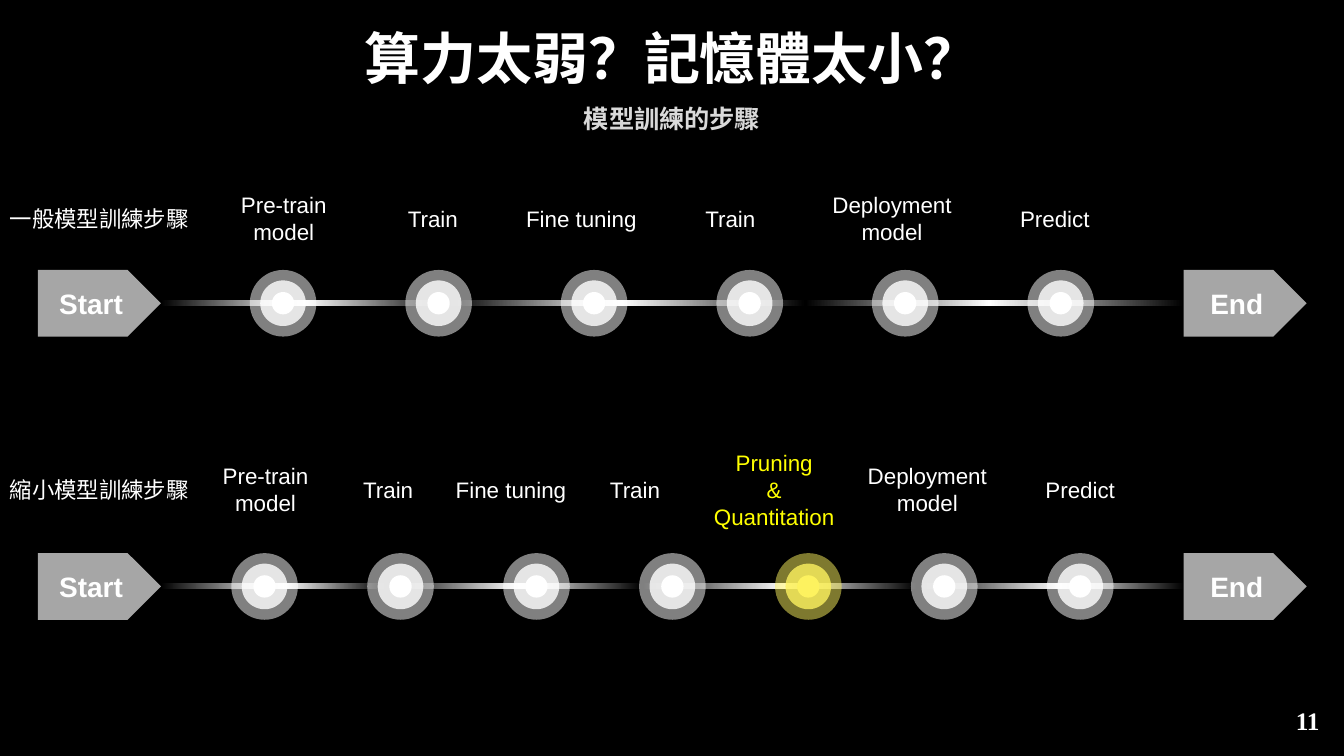
from lxml.etree import SubElement
from pptx import Presentation
from pptx.dml.color import RGBColor
from pptx.enum.shapes import MSO_SHAPE
from pptx.enum.text import MSO_ANCHOR, MSO_AUTO_SIZE, PP_ALIGN
from pptx.oxml.ns import qn
from pptx.util import Pt

BLACK = RGBColor(0x00, 0x00, 0x00)
WHITE = RGBColor(0xFF, 0xFF, 0xFF)
SILVER = RGBColor(0xDB, 0xDB, 0xDB)
LIGHT_GRAY = RGBColor(0xD9, 0xD9, 0xD9)
GRAY = RGBColor(0xA6, 0xA6, 0xA6)
YELLOW = RGBColor(0xFF, 0xFF, 0x00)
SOFT_YELLOW = RGBColor(0xFD, 0xF2, 0x5F)

# Ring diameter and opacity in percent, outermost first
RINGS = [(47.6, 50), (32.6, 80), (16, 100)]
LINE_HEIGHT = 4.4
FLAG_WIDTH = 88

# Steps: text, label centre, label width
GENERAL_STEPS = [
    ("Pre-train model", 202.7, 114.5), ("Train", 309.2, 114.5),
    ("Fine tuning", 415.2, 114.5), ("Train", 521.7, 114.5),
    ("Deployment model", 637.2, 134), ("Predict", 753.4, 114.5),
]
REDUCED_STEPS = [
    ("Pre-train model", 189.7, 83), ("Train", 277.3, 56),
    ("Fine tuning", 365, 99.4), ("Train", 453.6, 53.3),
    ("Pruning\n&\nQuantitation", 553, 105), ("Deployment model", 662.4, 134),
    ("Predict", 771.6, 137.5),
]
GENERAL_GLOW = [(0, BLACK), (19, WHITE), (37, BLACK), (55, WHITE),
                (72, BLACK), (86, WHITE), (100, BLACK)]
REDUCED_GLOW = [(0, BLACK), (12, WHITE), (14, SILVER), (26, BLACK), (39, WHITE),
                (53, BLACK), (65, WHITE), (78, BLACK), (88, WHITE), (100, BLACK)]


def write_text(shape, text, size, color=WHITE, bold=False, align=PP_ALIGN.CENTER,
               anchor=MSO_ANCHOR.MIDDLE, font="Arial", spacing=1.0):
    frame = shape.text_frame
    frame.word_wrap = True
    frame.auto_size = MSO_AUTO_SIZE.NONE
    frame.vertical_anchor = anchor
    frame.text = text
    for paragraph in frame.paragraphs:
        paragraph.alignment = align
        paragraph.line_spacing = spacing
        paragraph.font.name = font
        paragraph.font.size = Pt(size)
        paragraph.font.bold = bold
        paragraph.font.color.rgb = color


def add_text(slide, box, text, size, **style):
    textbox = slide.shapes.add_textbox(*map(Pt, box))
    write_text(textbox, text, size, **style)


def add_solid(shapes, kind, box, color, opacity=100):
    shape = shapes.add_shape(kind, *map(Pt, box))
    shape.shadow.inherit = False
    shape.line.fill.background()
    shape.fill.solid()
    shape.fill.fore_color.rgb = color
    if opacity < 100:
        color_element = shape._element.spPr.find(".//" + qn("a:srgbClr"))
        SubElement(color_element, qn("a:alpha"), val=str(opacity * 1000))
    return shape


def add_glow_line(slide, box, stops):
    line = add_solid(slide.shapes, MSO_SHAPE.RECTANGLE, box, WHITE)
    line.fill.gradient()
    line.fill.gradient_angle = 180
    stop_list = line._element.spPr.find(".//" + qn("a:gsLst"))
    for stop in list(stop_list):
        stop_list.remove(stop)
    for position, color in stops:
        stop = SubElement(stop_list, qn("a:gs"), pos=str(position * 1000))
        SubElement(stop, qn("a:srgbClr"), val=str(color))


def add_node(slide, center_x, center_y, color):
    group = slide.shapes.add_group_shape()
    for diameter, opacity in RINGS:
        box = (center_x - diameter / 2, center_y - diameter / 2, diameter, diameter)
        add_solid(group.shapes, MSO_SHAPE.OVAL, box, color, opacity)


def add_header(slide, box):
    left, top, width, height = box
    # Title
    title = slide.shapes.title
    title.left, title.top, title.width, title.height = map(Pt, (left, top, width, 42.5))
    write_text(title, "算力太弱？記憶體太小？", 40, bold=True,
               anchor=MSO_ANCHOR.BOTTOM, spacing=0.9)
    # Subtitle
    add_text(slide, (left, top + 46, width, height - 46), "模型訓練的步驟", 18,
             color=LIGHT_GRAY, bold=True, anchor=MSO_ANCHOR.TOP, spacing=0.9)


def add_timeline(slide, box, name, steps, glow, first_node, pitch, label_rise, highlight=None):
    left, top, width, height = box
    center_y = top + height / 2
    label_y = center_y - label_rise
    # Track between the two flags
    add_glow_line(slide, (left + FLAG_WIDTH, center_y - LINE_HEIGHT / 2,
                          width - 2 * FLAG_WIDTH, LINE_HEIGHT), glow)
    # Start and end flags
    for text, flag_left in (("Start", left), ("End", left + width - FLAG_WIDTH)):
        flag = add_solid(slide.shapes, MSO_SHAPE.PENTAGON,
                         (flag_left, top, FLAG_WIDTH, height), GRAY)
        write_text(flag, text, 20, bold=True)
    # Nodes and their labels
    for index, (text, label_x, label_width) in enumerate(steps):
        special = index == highlight
        add_node(slide, first_node + index * pitch, center_y,
                 SOFT_YELLOW if special else WHITE)
        add_text(slide, (label_x - label_width / 2, label_y - 33, label_width, 66),
                 text, 16, color=YELLOW if special else WHITE)
    # Name of the timeline
    add_text(slide, (0, label_y - 13.3, 152, 26.6), name, 16,
             align=PP_ALIGN.LEFT, font="Noto Sans CJK SC")


def main():
    presentation = Presentation()
    presentation.slide_width, presentation.slide_height = Pt(960), Pt(540)
    slide = presentation.slides.add_slide(presentation.slide_layouts[5])
    slide.background.fill.solid()
    slide.background.fill.fore_color.rgb = BLACK
    add_header(slide, (216, 26.6, 528, 86.4))
    add_timeline(slide, (27, 192.8, 906.4, 47.6), "一般模型訓練步驟", GENERAL_STEPS,
                 GENERAL_GLOW, first_node=202.2, pitch=111.1, label_rise=60.8)
    add_timeline(slide, (27, 395.1, 906.4, 47.6), "縮小模型訓練步驟", REDUCED_STEPS,
                 REDUCED_GLOW, first_node=189, pitch=97.1, label_rise=69.3, highlight=4)
    # Page number
    add_text(slide, (824.4, 500.4, 125.3, 28.8), "11", 18, bold=True,
             align=PP_ALIGN.RIGHT, font="Times New Roman")
    presentation.save("out.pptx")


if __name__ == "__main__":
    main()
